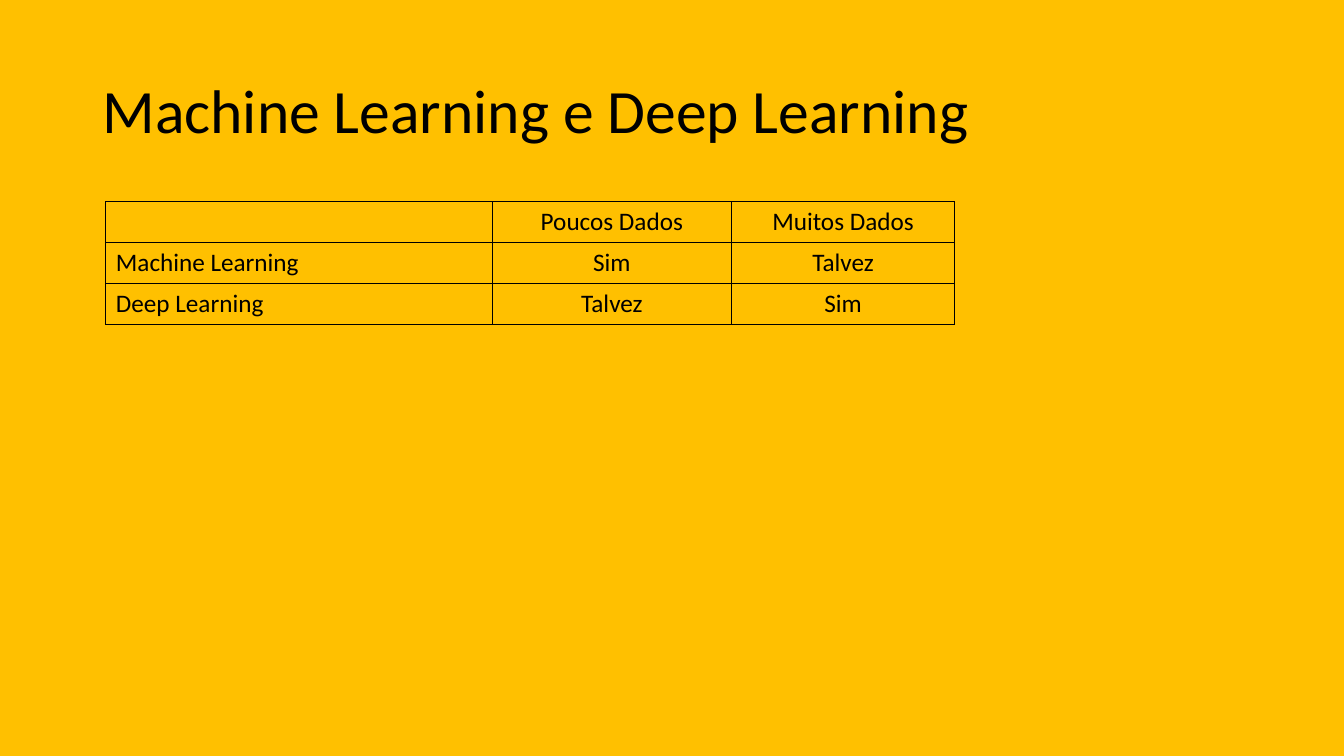
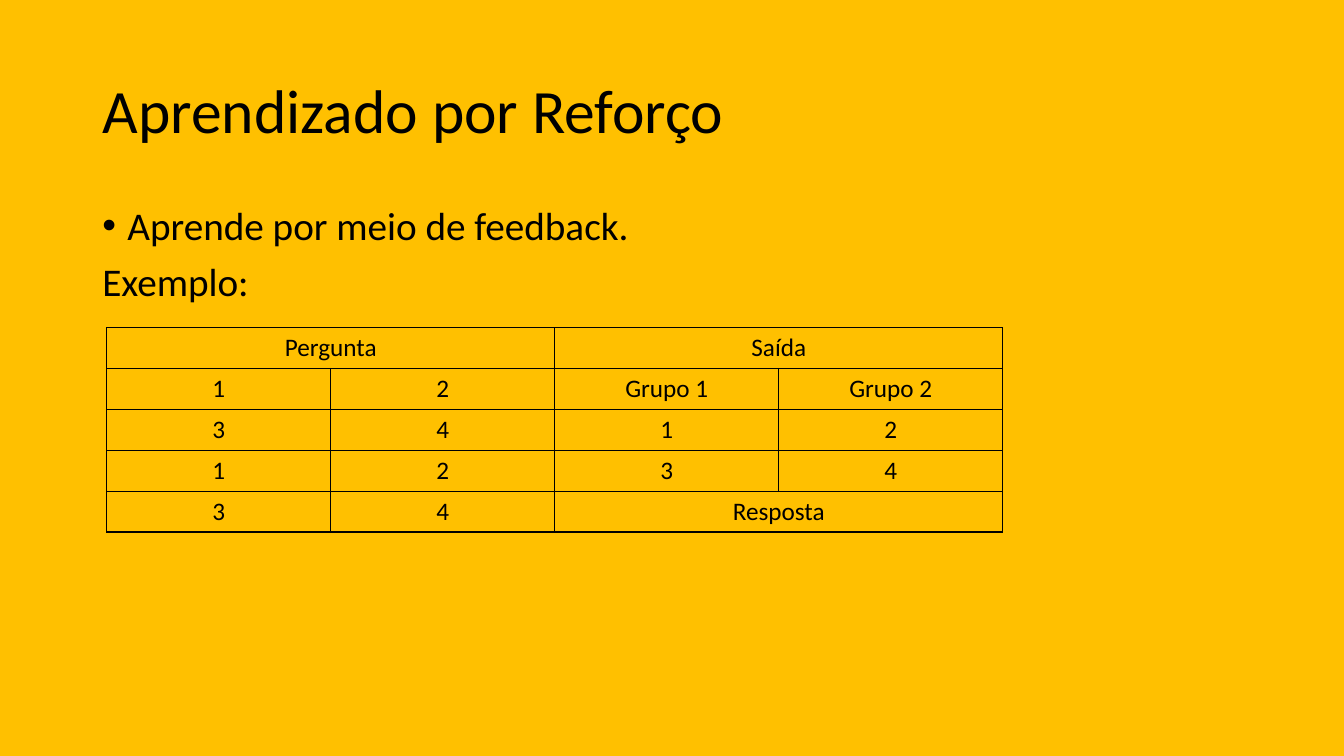
"""Build two slides comparing learning approaches with titles, text and tables."""
from lxml import etree
from pptx import Presentation
from pptx.dml.color import RGBColor
from pptx.enum.text import MSO_ANCHOR, PP_ALIGN
from pptx.oxml.ns import qn
from pptx.util import Pt

LEFT, CENTER = PP_ALIGN.LEFT, PP_ALIGN.CENTER
MIDDLE = MSO_ANCHOR.MIDDLE
AMBER = RGBColor(0xFF, 0xC0, 0x00)
BLACK = RGBColor(0x00, 0x00, 0x00)
FONT = "Calibri"
TITLE_ONLY = 5
ROW_HEIGHT = 29.2
MERGE = None

SLIDES = [
    {
        "title": "Machine Learning e Deep Learning",
        "bullets": [],
        "origin": (75.6, 144),
        "columns": [276, 171, 159.3],
        "label_column": True,
        "rows": [
            ["", "Poucos Dados", "Muitos Dados"],
            ["Machine Learning", "Sim", "Talvez"],
            ["Deep Learning", "Talvez", "Sim"],
        ],
    },
    {
        "title": "Aprendizado por Reforço",
        "bullets": [("Aprende por meio de feedback.", True), ("Exemplo:", False)],
        "origin": (76.3, 234),
        "columns": [160] * 4,
        "label_column": False,
        "rows": [
            ["Pergunta", MERGE, "Saída", MERGE],
            ["1", "2", "Grupo 1", "Grupo 2"],
            ["3", "4", "1", "2"],
            ["1", "2", "3", "4"],
            ["3", "4", "Resposta", MERGE],
        ],
    },
]


def write(para, text, size, **layout):
    """Fill a paragraph with styled text."""
    for name, value in layout.items():
        setattr(para, name, value)
    if text:
        para.add_run().text = text
    for name, value in {"name": FONT, "size": Pt(size), "bold": False}.items():
        setattr(para.font, name, value)
        for span in para.runs:
            setattr(span.font, name, value)
    for span in para.runs:
        span.font.color.rgb = BLACK


def add_borders(cell):
    """Draw a thin black line on every side of a cell."""
    properties = cell._tc.get_or_add_tcPr()
    for side in ("a:lnL", "a:lnR", "a:lnT", "a:lnB"):
        line = etree.SubElement(properties, qn(side), w=str(Pt(1)))
        fill = etree.SubElement(line, qn("a:solidFill"))
        etree.SubElement(fill, qn("a:srgbClr"), val=str(BLACK))


deck = Presentation()
deck.slide_width, deck.slide_height = Pt(960), Pt(540)
layout = deck.slide_layouts[TITLE_ONLY]
background = deck.slide_master.background.fill
background.solid()
background.fore_color.rgb = AMBER

for content in SLIDES:
    page = deck.slides.add_slide(layout)
    title = page.shapes.title
    title.left, title.top, title.width, title.height = Pt(66), Pt(28.8), Pt(828), Pt(104.4)
    title.text_frame.vertical_anchor = MIDDLE
    write(title.text_frame.paragraphs[0], content["title"], 44,
          alignment=LEFT, line_spacing=0.9)

    if content["bullets"]:
        box = page.shapes.add_textbox(Pt(66), Pt(144), Pt(828), Pt(342.6))
        frame = box.text_frame
        frame.word_wrap = True
        for index, (text, bulleted) in enumerate(content["bullets"]):
            para = frame.add_paragraph() if index else frame.paragraphs[0]
            write(para, text, 28, line_spacing=0.9, space_before=Pt(10))
            if bulleted:
                properties = para._p.get_or_add_pPr()
                properties.set("marL", str(Pt(18)))
                properties.set("indent", str(Pt(-18)))
                bullet_font = etree.Element(qn("a:buFont"), typeface="Arial")
                bullet = etree.Element(qn("a:buChar"), char="•")
                position = len(properties.findall(qn("a:lnSpc")) + properties.findall(qn("a:spcBef")))
                properties.insert(position, bullet_font)
                properties.insert(position + 1, bullet)

    rows, columns = content["rows"], content["columns"]
    left, top = content["origin"]
    table = page.shapes.add_table(
        len(rows), len(columns), Pt(left), Pt(top),
        Pt(sum(columns)), Pt(ROW_HEIGHT * len(rows))).table
    table.first_row = table.horz_banding = False
    for column, width in zip(table.columns, columns):
        column.width = Pt(width)
    for row_index, row in enumerate(rows):
        table.rows[row_index].height = Pt(ROW_HEIGHT)
        for column_index, text in enumerate(row):
            cell = table.cell(row_index, column_index)
            add_borders(cell)
            cell.fill.background()
            if text is MERGE:
                table.cell(row_index, column_index - 1).merge(cell)
                continue
            is_label = content["label_column"] and column_index == 0
            write(cell.text_frame.paragraphs[0], text, 18,
                  alignment=LEFT if is_label else CENTER)

deck.save("out.pptx")
